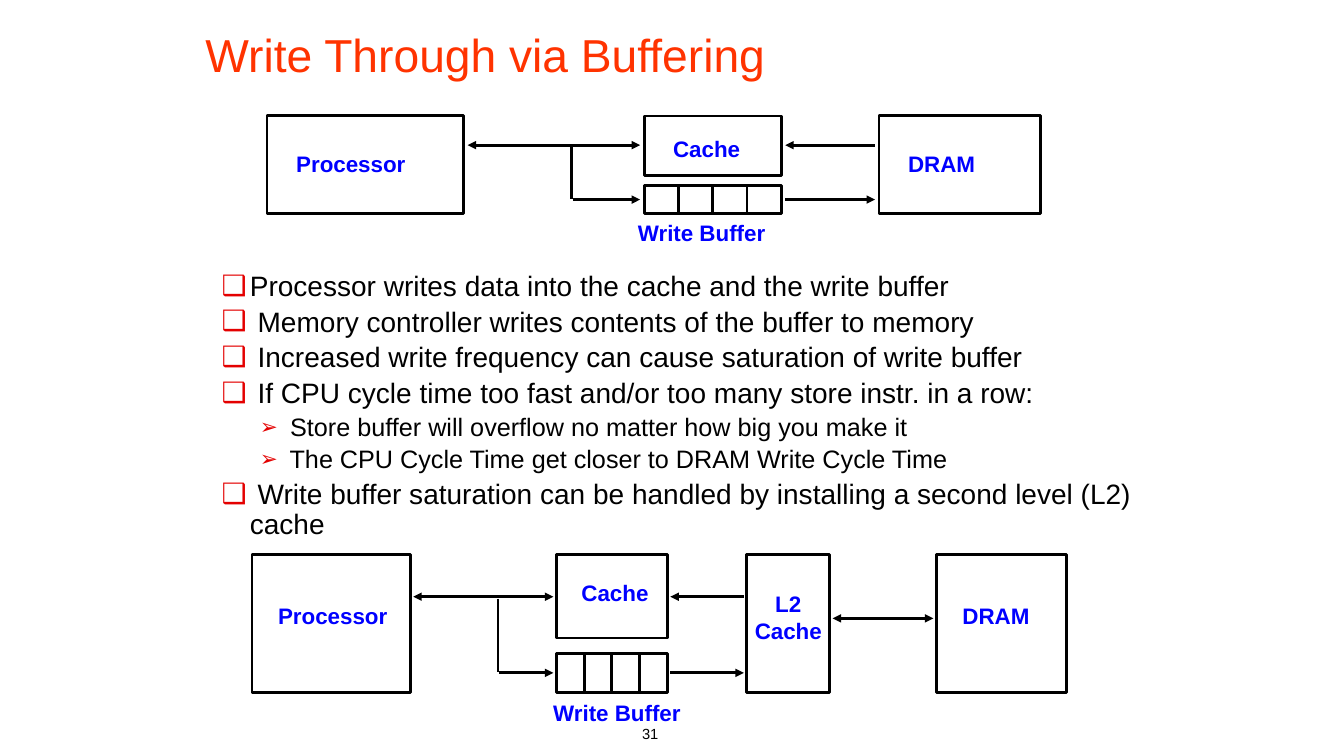
from dataclasses import dataclass
from typing import Any, Optional

import lxml.etree
import pptx
import pptx.dml.color
import pptx.enum.shapes
import pptx.enum.text
import pptx.oxml.ns
import pptx.util

COLUMNS, ROWS = 133.33, 75
SLIDE_WIDTH, SLIDE_HEIGHT = pptx.util.Inches(13.33), pptx.util.Inches(7.5)
BLACK, BLUE, ORANGE, RED, WHITE = "000000", "0000FF", "FF3300", "E40000", "FFFFFF"
ALIGN = pptx.enum.text.PP_ALIGN
ANCHOR = pptx.enum.text.MSO_ANCHOR
AUTO_SIZE = pptx.enum.text.MSO_AUTO_SIZE


@dataclass(frozen=True)
class Area:
    column: float
    row: float
    width: float
    height: float

    @property
    def right(self) -> float:
        return self.column + self.width

    @property
    def bottom(self) -> float:
        return self.row + self.height

    @property
    def middle(self) -> float:
        return self.row + self.height / 2


@dataclass(frozen=True)
class Unit:
    name: str
    area: Area
    label: Area
    align: Any = ALIGN.LEFT


@dataclass(frozen=True)
class Diagram:
    processor: Unit
    cache: Unit
    dram: Unit
    buffer: Area
    caption: Area
    branch_column: float
    data_row: float
    gap: float
    second_level: Optional[Unit] = None


@dataclass(frozen=True)
class Level:
    bullet: str
    bullet_share: int
    size: float
    margin: float
    hanging: float
    space_before: float


@dataclass(frozen=True)
class Point:
    text: str
    level: int = 0


LEVELS = (Level("❑", 100, 20, 2.8, 2.8, 4), Level("➢", 85, 18, 6.1, 2.3, 3.6))

POINTS = (
    Point("Processor writes data into the cache and the write buffer"),
    Point(" Memory controller writes contents of the buffer to memory"),
    Point(" Increased write frequency can cause saturation of write buffer"),
    Point(" If CPU cycle time too fast and/or too many store instr. in a row:"),
    Point(" Store buffer will overflow no matter how big you make it", 1),
    Point(" The CPU Cycle Time get closer to DRAM Write Cycle Time", 1),
    Point(" Write buffer saturation can be handled by installing a second level (L2) cache"),
)

DIAGRAMS = (
    Diagram(
        processor=Unit("Processor", Area(26.5, 11.5, 19.5, 9.7), Area(28.4, 14.4, 13.1, 3.6)),
        cache=Unit("Cache", Area(63.9, 11.5, 13.6, 5.9), Area(65.8, 12.9, 8.9, 3.7)),
        dram=Unit("DRAM", Area(87.2, 11.5, 16, 9.7), Area(89.1, 14.4, 8.9, 3.6)),
        buffer=Area(63.9, 18.4, 13.6, 2.8),
        caption=Area(62.3, 21.3, 14.8, 3.6),
        branch_column=56.7, data_row=14.4, gap=0.4,
    ),
    Diagram(
        processor=Unit("Processor", Area(25, 55, 15.7, 13.7), Area(26.6, 59.2, 13.1, 3.7)),
        cache=Unit("Cache", Area(55.2, 55, 11, 8.3), Area(56.7, 57, 8.9, 3.7)),
        dram=Unit("DRAM", Area(92.9, 55, 12.9, 13.7), Area(94.5, 59.2, 8.9, 3.7)),
        buffer=Area(55.2, 64.8, 11, 3.9),
        caption=Area(53.9, 68.9, 14.8, 3.7),
        branch_column=49.4, data_row=59.2, gap=0.3,
        second_level=Unit("L2\nCache", Area(74.1, 55, 8.2, 13.7),
                          Area(73.7, 58.1, 9, 6.3), ALIGN.CENTER),
    ),
)


def across(columns: float) -> int:
    return round(SLIDE_WIDTH * columns / COLUMNS)


def down(rows: float) -> int:
    return round(SLIDE_HEIGHT * rows / ROWS)


def place(area: Area) -> tuple[int, int, int, int]:
    return across(area.column), down(area.row), across(area.width), down(area.height)


def paint(colour_format: Any, colour: str) -> None:
    colour_format.rgb = pptx.dml.color.RGBColor.from_string(colour)


def add_child(parent: Any, tag: str, **attributes: str) -> Any:
    return lxml.etree.SubElement(parent, pptx.oxml.ns.qn(tag), attributes)


def write(paragraph: Any, text: str, *, size: float, colour: str = BLACK,
          bold: bool = False, align: Any = ALIGN.LEFT) -> None:
    paragraph.alignment = align
    run = paragraph.add_run()
    run.text = text
    run.font.name, run.font.size, run.font.bold = "Arial", pptx.util.Pt(size), bold
    paint(run.font.color, colour)


def add_text(shapes: Any, area: Area, text: str, *, wrap: bool = False,
             anchor: Any = ANCHOR.TOP, **text_format: Any) -> Any:
    box = shapes.add_textbox(*place(area))
    frame = box.text_frame
    frame.word_wrap, frame.vertical_anchor = wrap, anchor
    frame.auto_size = AUTO_SIZE.NONE if wrap else AUTO_SIZE.SHAPE_TO_FIT_TEXT
    for index, line in enumerate(text.split("\n")):
        write(frame.add_paragraph() if index else frame.paragraphs[0], line, **text_format)
    return box


def add_frame(shapes: Any, area: Area) -> None:
    frame = shapes.add_shape(pptx.enum.shapes.MSO_SHAPE.RECTANGLE, *place(area))
    frame.shadow.inherit = False
    frame.fill.background()
    frame.line.width = pptx.util.Pt(2)
    paint(frame.line.color, BLACK)


def add_wire(shapes: Any, start: tuple[float, float], end: tuple[float, float],
             *, head: bool = False, tail: bool = False) -> None:
    wire = shapes.add_connector(pptx.enum.shapes.MSO_CONNECTOR.STRAIGHT,
                                across(start[0]), down(start[1]), across(end[0]), down(end[1]))
    wire.line.width = pptx.util.Pt(2)
    paint(wire.line.color, BLACK)
    for tag, wanted in (("a:headEnd", head), ("a:tailEnd", tail)):
        if wanted:
            add_child(wire.line._get_or_add_ln(), tag, type="triangle")
    add_child(wire._element.spPr, "a:effectLst")


def add_points(shapes: Any, area: Area) -> None:
    frame = shapes.add_textbox(*place(area)).text_frame
    frame.word_wrap = True
    for index, point in enumerate(POINTS):
        level = LEVELS[point.level]
        paragraph = frame.add_paragraph() if index else frame.paragraphs[0]
        write(paragraph, point.text, size=level.size)
        paragraph.level = point.level
        paragraph.line_spacing = 0.9
        paragraph.space_before = pptx.util.Pt(level.space_before)
        properties = paragraph._p.get_or_add_pPr()
        properties.set("marL", str(across(level.margin)))
        properties.set("indent", str(-across(level.hanging)))
        add_child(add_child(properties, "a:buClr"), "a:srgbClr", val=RED)
        add_child(properties, "a:buSzPct", val=str(level.bullet_share * 1000))
        add_child(properties, "a:buFont", typeface="Arial")
        add_child(properties, "a:buChar", char=level.bullet)


def add_diagram(slide: Any, diagram: Diagram) -> None:
    shapes = slide.shapes.add_group_shape().shapes
    processor, cache, dram = diagram.processor, diagram.cache, diagram.dram
    buffer, gap, row = diagram.buffer, diagram.gap, diagram.data_row
    label_format = dict(size=16, colour=BLUE, bold=True)
    for unit in filter(None, (processor, cache, dram, diagram.second_level)):
        add_frame(shapes, unit.area)
        add_text(shapes, unit.label, unit.name, align=unit.align, **label_format)
    add_frame(shapes, buffer)
    for quarter in (1, 2, 3):
        column = buffer.column + buffer.width * quarter / 4
        add_wire(shapes, (column, buffer.row), (column, buffer.bottom))
    add_text(shapes, diagram.caption, "Write Buffer", **label_format)

    def link(left: float, right: float, level: float, **heads: bool) -> None:
        add_wire(shapes, (left + gap, level), (right - gap, level), **heads)

    memory = diagram.second_level or dram
    branch = diagram.branch_column
    link(processor.area.right, cache.area.column, row, head=True, tail=True)
    link(cache.area.right, memory.area.column, row, head=True)
    link(buffer.right, memory.area.column, buffer.middle, tail=True)
    link(branch - gap + 0.1, buffer.column, buffer.middle, tail=True)
    add_wire(shapes, (branch, row + 0.2), (branch, buffer.middle - 0.1))
    if diagram.second_level:
        link(memory.area.right, dram.area.column, memory.area.middle - 0.5, head=True, tail=True)


deck = pptx.Presentation()
deck.slide_width, deck.slide_height = SLIDE_WIDTH, SLIDE_HEIGHT
slide = deck.slides.add_slide(deck.slide_layouts[6])
add_text(slide.shapes, Area(38.5, 71.4, 27.8, 3.6), "31",
         wrap=True, size=10.5, align=ALIGN.RIGHT)
title = add_text(slide.shapes, Area(19.4, 0, 110.3, 10.7), "Write Through via Buffering",
                 wrap=True, anchor=ANCHOR.MIDDLE, size=33, colour=ORANGE)
title.fill.solid()
paint(title.fill.fore_color, WHITE)
add_points(slide.shapes, Area(21, 26.5, 93.3, 27.9))
for diagram in DIAGRAMS:
    add_diagram(slide, diagram)
deck.save("out.pptx")
